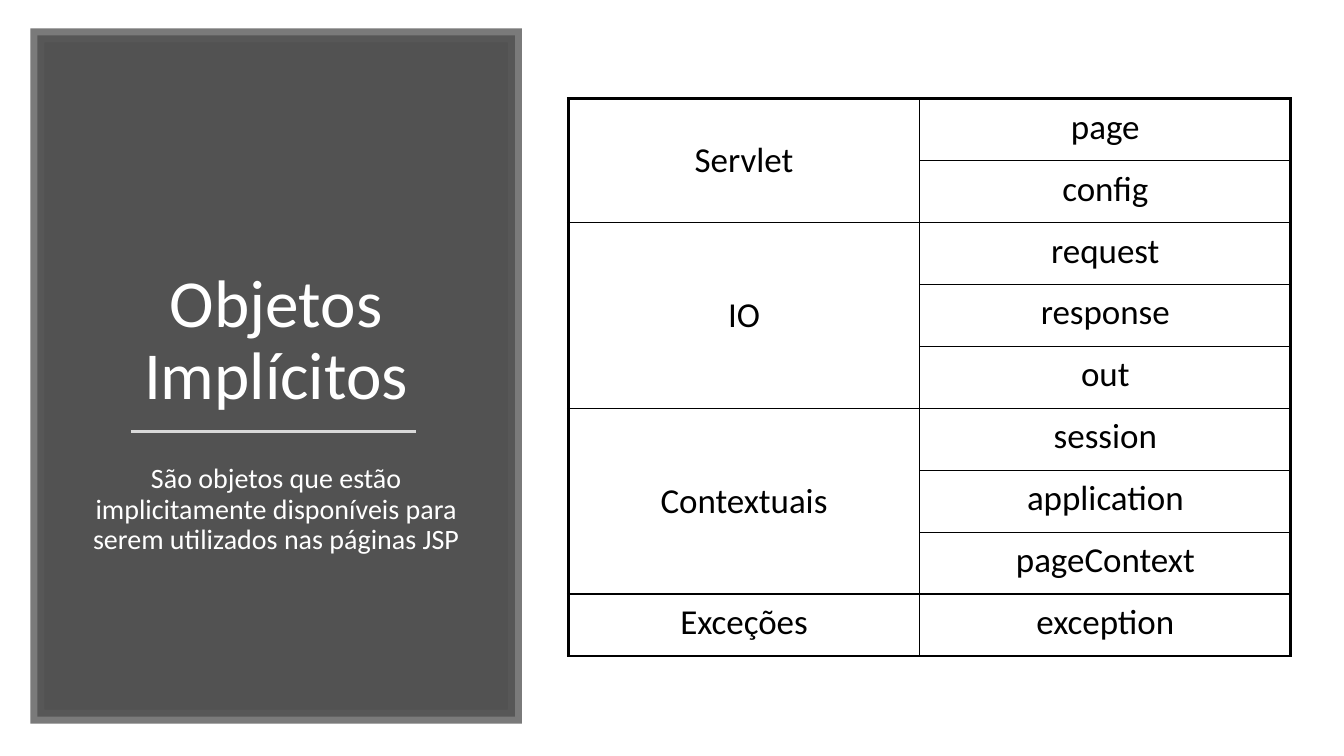
from dataclasses import dataclass

from lxml import etree
from pptx import Presentation, util as u
from pptx.dml.color import RGBColor
from pptx.enum import shapes, text
from pptx.oxml.ns import qn


@dataclass(frozen=True)
class Theme:
    font: str = "Calibri"
    panel: str = "404040"
    frame: str = "595959"
    rule: str = "D9D9D9"
    light: str = "FFFFFF"
    dark: str = "000000"
    title_size: int = 48
    body_size: int = 20
    cell_size: int = 25
    outer_line: float = 2.25
    inner_line: float = 1


OBJECT_GROUPS = {
    "Servlet": ["page", "config"],
    "IO": ["request", "response", "out"],
    "Contextuais": ["session", "application", "pageContext"],
    "Exceções": ["exception"],
}


def apply(target, settings):
    for name, value in settings.items():
        setattr(target, name, value)


def set_alpha(fill, percent):
    color = fill.find(".//" + qn("a:srgbClr"))
    etree.SubElement(color, qn("a:alpha"), val=str(percent * 1000))


class SlideBuilder:
    def __init__(self, deck, theme):
        self.theme = theme
        self.page = deck.slides.add_slide(deck.slide_layouts.get_by_name("Content with Caption"))
        self.page.placeholders[1].element.getparent().remove(self.page.placeholders[1].element)

    def style_text(self, frame, words, size, color, **paragraph_format):
        para = frame.paragraphs[0]
        apply(para, {"alignment": text.PP_ALIGN.CENTER, **paragraph_format})
        span = para.add_run()
        span.text = words
        apply(span.font, {"name": self.theme.font, "size": u.Pt(size), "bold": False})
        span.font.color.rgb = RGBColor.from_string(color)
        return para

    def placeholder(self, index, bounds, words, size, anchor, space_before=0):
        box = self.page.placeholders[index]
        apply(box, dict(zip(("left", "top", "width", "height"), map(u.Cm, bounds))))
        apply(box.text_frame, {"vertical_anchor": anchor, "word_wrap": True,
                               "auto_size": text.MSO_AUTO_SIZE.NONE})
        self.style_text(box.text_frame, words, size, self.theme.light,
                        line_spacing=0.9, space_before=u.Pt(space_before))

    def panel(self, bounds):
        """Draw the translucent framed panel behind everything else."""
        panel = self.page.shapes.add_shape(shapes.MSO_SHAPE.RECTANGLE, *map(u.Cm, bounds))
        panel.shadow.inherit = False
        panel.fill.solid()
        panel.fill.fore_color.rgb = RGBColor.from_string(self.theme.panel)
        panel.line.color.rgb = RGBColor.from_string(self.theme.frame)
        panel.line.width = u.Pt(10)
        properties = panel.element.spPr
        set_alpha(properties.find(qn("a:solidFill")), 90)
        outline = properties.find(qn("a:ln"))
        set_alpha(outline, 80)
        etree.SubElement(outline, qn("a:miter"), lim="800000")
        self.page.shapes.title.element.addprevious(panel.element)

    def rule(self, left, right, y):
        rule = self.page.shapes.add_connector(
            shapes.MSO_CONNECTOR.STRAIGHT, *map(u.Cm, (left, y, right, y)))
        rule.line.color.rgb = RGBColor.from_string(self.theme.rule)
        rule.line.width = u.Pt(1.75)
        etree.SubElement(rule.element.spPr, qn("a:effectLst"))

    def cell_borders(self, cell, outer_sides, sides):
        properties = cell._tc.get_or_add_tcPr()
        for side in sides:
            width = self.theme.outer_line if side in outer_sides else self.theme.inner_line
            line = etree.SubElement(properties, qn(f"a:ln{side}"), w=str(u.Pt(width)))
            fill = etree.SubElement(line, qn("a:solidFill"))
            etree.SubElement(fill, qn("a:srgbClr"), val=self.theme.dark)
        cell.fill.background()

    def cell_text(self, cell, words, anchor):
        apply(cell, {"margin_left": u.Cm(0.36), "margin_right": u.Cm(0.36),
                     "margin_top": u.Cm(0.18), "margin_bottom": u.Cm(0.18),
                     "vertical_anchor": anchor})
        para = self.style_text(cell.text_frame, words, self.theme.cell_size, self.theme.dark)
        spacing = etree.SubElement(para._p.get_or_add_pPr(), qn("a:spcBef"))
        etree.SubElement(spacing, qn("a:spcPct"), val="20000")

    def group_table(self, left, top, column_widths, row_height, groups):
        """Put each group name in a merged cell beside its members."""
        row_count = sum(map(len, groups.values()))
        table = self.page.shapes.add_table(
            row_count, 2, u.Cm(left), u.Cm(top),
            u.Cm(sum(column_widths)), u.Cm(row_height * row_count)).table
        apply(table, {"first_row": False, "horz_banding": False})
        for column, width in zip(table.columns, column_widths):
            column.width = u.Cm(width)
        for row in table.rows:
            row.height = u.Cm(row_height)

        start = 0
        for group, members in groups.items():
            end = start + len(members) - 1
            name_cell = table.cell(start, 0)
            if end > start:
                name_cell.merge(table.cell(end, 0))
            anchor = text.MSO_ANCHOR.MIDDLE if end > start else text.MSO_ANCHOR.TOP
            self.cell_text(name_cell, group, anchor)
            for row, member in enumerate(members, start):
                self.cell_text(table.cell(row, 1), member, text.MSO_ANCHOR.TOP)
            start = end + 1

        for row in range(row_count):
            edges = "T" * (row == 0) + "B" * (row == row_count - 1)
            for column, side in enumerate("LR"):
                cell = table.cell(row, column)
                self.cell_borders(cell, side + edges, "LR" if cell.is_spanned else "LRTB")


def main():
    deck = Presentation()
    deck.slide_width, deck.slide_height = u.Cm(33.87), u.Cm(19.05)
    theme = Theme()
    slide = SlideBuilder(deck, theme)
    slide.panel((0.94, 0.89, 12.04, 17.17))
    slide.placeholder(0, (1.88, 2.54, 10.16, 8.03), "Objetos Implícitos",
                      theme.title_size, text.MSO_ANCHOR.BOTTOM)
    slide.placeholder(2, (1.88, 11.58, 10.16, 4.24),
                      "São objetos que estão implicitamente disponíveis "
                      "para serem utilizados nas páginas JSP",
                      theme.body_size, text.MSO_ANCHOR.TOP, space_before=10)
    slide.rule(3.3, 10.49, 10.87)
    slide.group_table(14.32, 2.49, (8.86, 9.35), 1.56, OBJECT_GROUPS)
    deck.save("out.pptx")


if __name__ == "__main__":
    main()
